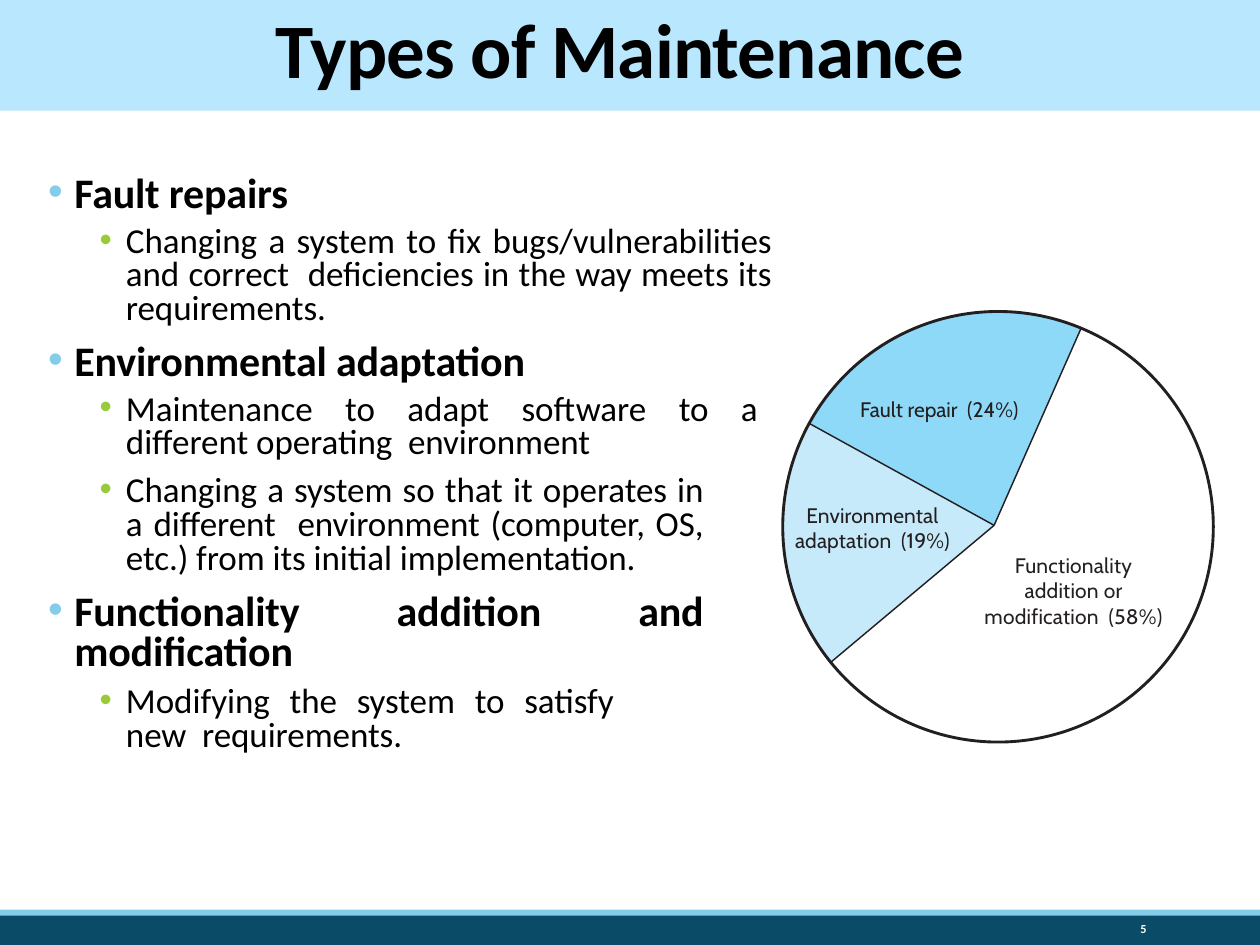
import math
from dataclasses import dataclass

from lxml import etree
from pptx import Presentation
from pptx import util as u
from pptx.dml.color import RGBColor
from pptx.enum import shapes, text
from pptx.oxml import ns

COLORS = {
    "black": "000000", "white": "FFFFFF", "ink": "231F20",
    "navy": "0A4B67", "sky": "84CDEA", "title": "B9E7FD", "green": "99CB38",
    "fault": "8ED8F8", "environment": "C7EAFB",
}
ALIGN = text.PP_ALIGN
ANCHOR = text.MSO_ANCHOR


@dataclass
class Area:
    left: float
    top: float
    width: float
    height: float

    def lengths(self) -> list:
        return [u.Cm(v) for v in (self.left, self.top, self.width, self.height)]


@dataclass
class Style:
    size: float
    color: str
    font: str = "Calibri"
    bold: bool = False
    tracking: int = 0  # hundredths of a point


@dataclass
class Level:
    style: Style
    margin: float
    bullet: str
    after: float


@dataclass
class Item:
    level: int
    before: float
    right: float
    words: str


@dataclass
class Slice:
    color: str
    start: float  # degrees, clockwise from the right
    end: float


@dataclass
class Label:
    area: Area
    align: ALIGN
    words: str
    tracking: int


LEVELS = [
    Level(Style(24, "black", bold=True, tracking=-10), 0.56, "sky", 2),
    Level(Style(20, "black", tracking=-5), 1.6, "green", 4),
]
ITEMS = [
    Item(0, 0, 0, "Fault repairs"),
    Item(1, 3.6, 0, "Changing a system to fix bugs/vulnerabilities and correct  "
                    "deficiencies in the way meets its requirements."),
    Item(0, 5.5, 0, "Environmental adaptation"),
    Item(1, 3.6, 0.28, "Maintenance to adapt software to a different operating  environment"),
    Item(1, 4.3, 1.37, "Changing a system so that it operates in a different  environment "
                       "(computer, OS, etc.) from its initial implementation."),
    Item(0, 5.8, 1.37, "Functionality addition and modification"),
    Item(1, 5.1, 3.18, "Modifying the system to satisfy new  requirements."),
]

CENTER, RADIUS, HUB = (20.12, 10.62), 4.34, (20.04, 10.59)
SLICES = [Slice("environment", 141, 208.7), Slice("fault", 208.7, 292.7)]
SPOKE_ANGLES = [141, 208.7, 292.7]
LABELS = [
    Label(Area(17.09, 7.87, 4.37, 0.76), ALIGN.LEFT, "Fault repair  (24%)", 0),
    Label(Area(15.09, 10.01, 5, 1.27), ALIGN.CENTER, "Environmental adaptation  (19%)", 8),
    Label(Area(19.41, 11.02, 4.47, 1.8), ALIGN.CENTER,
          "Functionality addition or modification  (58%)", 14),
]


def rgb(name: str) -> RGBColor:
    return RGBColor.from_string(COLORS[name])


def apply(target, values: dict) -> None:
    for name, value in values.items():
        setattr(target, name, value)


def write(para, words: str, style: Style, **layout) -> None:
    apply(para, layout)
    span = para.add_run()
    span.text = words
    apply(span.font, {"name": style.font, "size": u.Pt(style.size), "bold": style.bold})
    span.font.color.rgb = rgb(style.color)
    if style.tracking:
        span.font._element.set("spc", str(style.tracking))


def add_bar(page, area: Area, color: str):
    bar = page.shapes.add_shape(shapes.MSO_SHAPE.RECTANGLE, *area.lengths())
    bar.shadow.inherit = False
    bar.fill.solid()
    bar.fill.fore_color.rgb = rgb(color)
    bar.line.fill.background()
    return bar


def add_text_box(page, area: Area, **frame):
    box = page.shapes.add_textbox(*area.lengths())
    apply(box.text_frame, {"word_wrap": True, **frame})
    return box.text_frame


def set_bullet(para, color: str, margin: float, right: float) -> None:
    props = para._p.get_or_add_pPr()
    for name, value in {"marL": margin, "marR": right, "indent": -0.53}.items():
        props.set(name, str(u.Cm(value)))
    fill = etree.SubElement(props, ns.qn("a:buClr"))
    etree.SubElement(fill, ns.qn("a:srgbClr"), val=COLORS[color])
    etree.SubElement(props, ns.qn("a:buFont"), typeface="Arial")
    etree.SubElement(props, ns.qn("a:buChar"), char="•")


def rim_point(degrees: float) -> tuple:
    angle = math.radians(degrees)
    return (u.Cm(CENTER[0] + RADIUS * math.cos(angle)),
            u.Cm(CENTER[1] + RADIUS * math.sin(angle)))


def add_slice(page, part: Slice) -> None:
    steps = 40
    sweep = part.end - part.start
    builder = page.shapes.build_freeform(*[u.Cm(v) for v in HUB])
    builder.add_line_segments([rim_point(part.start + sweep * i / steps)
                               for i in range(steps + 1)])
    wedge = builder.convert_to_shape()
    wedge.shadow.inherit = False
    wedge.fill.solid()
    wedge.fill.fore_color.rgb = rgb(part.color)
    wedge.line.fill.background()


def add_spoke(page, degrees: float) -> None:
    spoke = page.shapes.add_connector(shapes.MSO_CONNECTOR.STRAIGHT,
                                      *[u.Cm(v) for v in HUB], *rim_point(degrees))
    spoke.line.color.rgb = rgb("ink")
    spoke.line.width = u.Pt(0.82)
    etree.SubElement(spoke._element.spPr, ns.qn("a:effectLst"))


def add_pie(page) -> None:
    for part in SLICES:
        add_slice(page, part)
    rim = page.shapes.add_shape(
        shapes.MSO_SHAPE.OVAL,
        *Area(CENTER[0] - RADIUS, CENTER[1] - RADIUS, 2 * RADIUS, 2 * RADIUS).lengths())
    rim.shadow.inherit = False
    rim.fill.background()
    rim.line.color.rgb = rgb("ink")
    rim.line.width = u.Pt(1.64)
    for degrees in SPOKE_ANGLES:
        add_spoke(page, degrees)
    for label in LABELS:
        frame = add_text_box(page, label.area, auto_size=text.MSO_AUTO_SIZE.SHAPE_TO_FIT_TEXT)
        write(frame.paragraphs[0], label.words,
              Style(12, "ink", "Cabin", tracking=label.tracking), alignment=label.align)


def main() -> None:
    deck = Presentation()
    apply(deck, {"slide_width": u.Cm(25.4), "slide_height": u.Cm(19.05)})
    page = deck.slides.add_slide(deck.slide_layouts[6])

    # Footer and title bars
    add_bar(page, Area(0, 18.45, 25.4, 0.6), "navy")
    add_bar(page, Area(0, 18.34, 25.4, 0.12), "sky")
    title = add_bar(page, Area(-0.08, -0.03, 25.48, 2.26), "title").text_frame
    title.vertical_anchor = ANCHOR.MIDDLE
    write(title.paragraphs[0], "Types of Maintenance ",
          Style(44, "black", bold=True, tracking=-50),
          alignment=ALIGN.CENTER, line_spacing=0.85)

    # Page number
    number = add_text_box(page, Area(20.62, 18.47, 2.74, 0.53), vertical_anchor=ANCHOR.MIDDLE)
    write(number.paragraphs[0], "5", Style(7, "white", bold=True),
          alignment=ALIGN.RIGHT, line_spacing=0.9, space_after=u.Pt(6))

    # Maintenance types
    body = add_text_box(page, Area(0.94, 3.43, 14.61, 12.19), margin_left=0, margin_right=0)
    for index, item in enumerate(ITEMS):
        para = body.add_paragraph() if index else body.paragraphs[0]
        level = LEVELS[item.level]
        set_bullet(para, level.bullet, level.margin, item.right)
        write(para, item.words, level.style, level=item.level, alignment=ALIGN.JUSTIFY,
              line_spacing=0.8, space_before=u.Pt(item.before), space_after=u.Pt(level.after))

    # Share of each type
    add_pie(page)
    deck.save("out.pptx")


if __name__ == "__main__":
    main()
